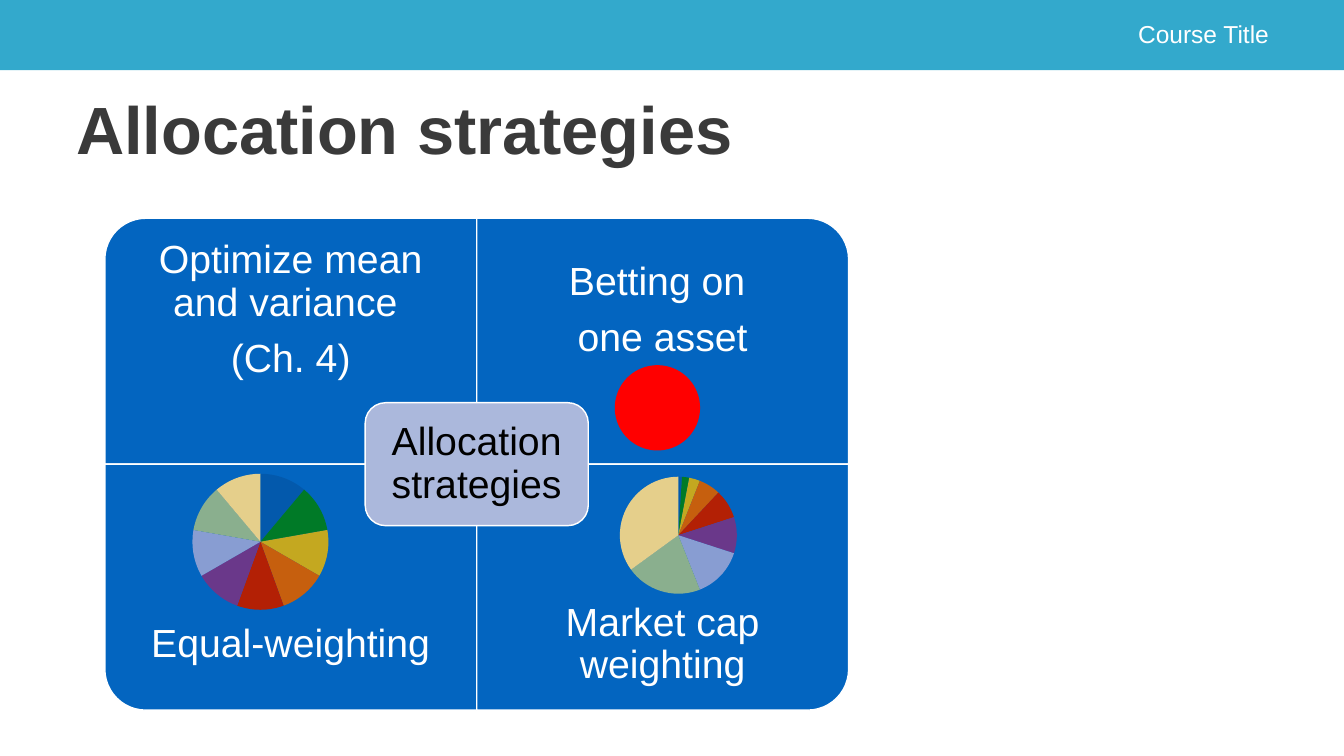
from dataclasses import dataclass

from pptx import Presentation
from pptx.chart.data import CategoryChartData
from pptx.dml.color import RGBColor
from pptx.enum.chart import XL_CHART_TYPE
from pptx.enum.shapes import MSO_SHAPE
from pptx.enum.text import MSO_ANCHOR, MSO_AUTO_SIZE, PP_ALIGN
from pptx.oxml import parse_xml
from pptx.oxml.ns import nsdecls
from pptx.util import Inches, Pt

RECTANGLE = MSO_SHAPE.RECTANGLE
ONE_ROUND = MSO_SHAPE.ROUND_1_RECTANGLE
ALL_ROUND = MSO_SHAPE.ROUNDED_RECTANGLE
PIE = XL_CHART_TYPE.PIE
MIDDLE = MSO_ANCHOR.MIDDLE
LEFT, CENTER, RIGHT = PP_ALIGN.LEFT, PP_ALIGN.CENTER, PP_ALIGN.RIGHT
TITLE_ONLY = 5

SLIDE_WIDTH, SLIDE_HEIGHT = 26.67, 15
GRID_LEFT, GRID_TOP = 2.08, 4.33
COLUMN, ROW = 7.38, 4.88
TEXT_SHARE = 0.75  # part of a quadrant's height that holds its text


@dataclass(frozen=True)
class Theme:
    font: str = "Arial"
    white: str = "FFFFFF"
    black: str = "000000"
    header: str = "33A9CC"
    heading: str = "3A3A3A"
    quadrant: str = "0365C0"
    hub: str = "ABB8DC"
    bet: str = "FF0000"
    slices: tuple = ("0359AC", "007A27", "C4A820", "C65F0E", "B32005",
                     "6A388A", "889DD2", "8AAF8E", "E5CF8B")
    header_size: float = 35
    title_size: float = 95.4
    label_size: float = 56
    chart_size: float = 18
    outline: float = 2


THEME = Theme()


def color(code):
    return RGBColor.from_string(code)


def place(left, top, width, height):
    return [Inches(value) for value in (left, top, width, height)]


def add_panel(page, kind, box, fill, outlined=True, rotation=0):
    """Draw a filled shape; box is the area covered after rotation."""
    left, top, width, height = box
    if rotation % 180:
        left, top = left + (width - height) / 2, top + (height - width) / 2
        width, height = height, width
    panel = page.shapes.add_shape(kind, *place(left, top, width, height))
    panel.rotation = rotation
    panel.shadow.inherit = False
    panel.fill.solid()
    panel.fill.fore_color.rgb = color(fill)
    if outlined:
        panel.line.color.rgb = color(THEME.white)
        panel.line.width = Pt(THEME.outline)
    else:
        panel.line.fill.background()


def write(frame, lines, size, ink, align, inset, bold=False):
    frame.word_wrap = True
    frame.auto_size = MSO_AUTO_SIZE.NONE
    frame.vertical_anchor = MIDDLE
    frame.margin_left = frame.margin_right = Inches(inset)
    frame.margin_top = frame.margin_bottom = Inches(inset)
    for number, line in enumerate(lines):
        para = frame.add_paragraph() if number else frame.paragraphs[0]
        para.alignment = align
        span = para.add_run()
        span.text = line
        span.font.name = THEME.font
        span.font.size = Pt(size)
        span.font.bold = bold
        span.font.color.rgb = color(ink)


def add_label(page, box, lines, ink, inset):
    frame = page.shapes.add_textbox(*place(*box)).text_frame
    write(frame, lines, THEME.label_size, ink, CENTER, inset)
    for para in frame.paragraphs:
        para.line_spacing = 0.9
        para.space_after = Pt(0.35 * THEME.label_size)
    return frame


def add_header(page):
    add_panel(page, RECTANGLE, (0, 0, SLIDE_WIDTH, 1.39), THEME.header, outlined=False)
    frame = page.shapes.add_textbox(*place(17.45, 0.32, 7.79, 0.69)).text_frame
    write(frame, ["Course Title"], THEME.header_size, THEME.white, RIGHT, 0.06)


def add_title(page):
    title = page.shapes.title
    title.left, title.top, title.width, title.height = place(1.43, 1.58, 20.01, 1.92)
    write(title.text_frame, ["Allocation strategies"], THEME.title_size,
          THEME.heading, LEFT, 0.08, bold=True)


def add_quadrant(page, column, row, rotation, lines):
    left, top = GRID_LEFT + column * COLUMN, GRID_TOP + row * ROW
    add_panel(page, ONE_ROUND, (left, top, COLUMN, ROW), THEME.quadrant, rotation=rotation)
    text_top = top + row * (1 - TEXT_SHARE) * ROW
    frame = add_label(page, (left, text_top, COLUMN, TEXT_SHARE * ROW),
                      lines, THEME.white, 0.44)
    if row:
        frame.margin_top = Inches(1.51)  # leaves room for the pie above


def add_hub(page):
    width, height = 0.6 * COLUMN, 0.5 * ROW
    box = (GRID_LEFT + COLUMN - width / 2, GRID_TOP + ROW - height / 2, width, height)
    add_panel(page, ALL_ROUND, box, THEME.hub)
    add_label(page, box, ["Allocation strategies"], THEME.black, 0.34)


def add_pie(page, box, values, colors, explosion=0):
    data = CategoryChartData()
    data.categories = [str(number + 1) for number in range(len(values))]
    data.add_series("Series 1", values)
    chart = page.shapes.add_chart(PIE, *place(*box), data).chart
    chart.has_title = False
    chart.has_legend = False
    chart.font.name = THEME.font
    chart.font.size = Pt(THEME.chart_size)
    chart.font.color.rgb = color(THEME.black)
    plot = chart.plots[0]
    plot.vary_by_categories = True
    series = plot.series[0]
    for number, code in enumerate(colors):
        point = series.points[number].format
        point.fill.solid()
        point.fill.fore_color.rgb = color(code)
        point.line.fill.background()
    if explosion:
        first_point = series.points[0].format.fill and series._element.find(
            "{*}dPt")
        first_point.addprevious(parse_xml(
            f'<c:explosion {nsdecls("c")} val="{explosion}"/>'))
    set_square_plot(chart, box[2], box[3])


def set_square_plot(chart, width, height, share=0.9):
    """Centre a square plot area that takes a share of the chart's height."""
    across = share * height / width
    sizes = {"x": (1 - across) / 2, "y": (1 - share) / 2, "w": across, "h": share}
    modes = "".join(f'<c:{axis}Mode val="edge"/>' for axis in "xy")
    parts = "".join(f'<c:{name} val="{value:.3f}"/>' for name, value in sizes.items())
    area = chart._chartSpace.chart.plotArea
    for old in area.findall("{*}layout"):
        area.remove(old)
    area.insert(0, parse_xml(
        f'<c:layout {nsdecls("c")}><c:manualLayout><c:layoutTarget val="inner"/>'
        f'{modes}{parts}</c:manualLayout></c:layout>'))


def main():
    deck = Presentation()
    deck.slide_width, deck.slide_height = Inches(SLIDE_WIDTH), Inches(SLIDE_HEIGHT)
    page = deck.slides.add_slide(deck.slide_layouts[TITLE_ONLY])
    add_header(page)
    add_quadrant(page, 0, 0, 270, ["Optimize mean and variance ", "(Ch. 4)"])
    add_quadrant(page, 1, 0, 0, ["Betting on ", "one asset"])
    add_quadrant(page, 0, 1, 180, ["Equal-weighting"])
    add_quadrant(page, 1, 1, 90, ["Market cap weighting"])
    add_hub(page)
    add_title(page)
    add_pie(page, (3.17, 9.25, 4, 3), [11] * 9, THEME.slices)
    add_pie(page, (11.75, 9.33, 3.42, 2.58), [1, 2, 3, 6, 8, 10, 14, 21, 35], THEME.slices)
    add_pie(page, (11.67, 6.83, 2.75, 2.22), [100], [THEME.bet], explosion=18)
    deck.save("out.pptx")


if __name__ == "__main__":
    main()
